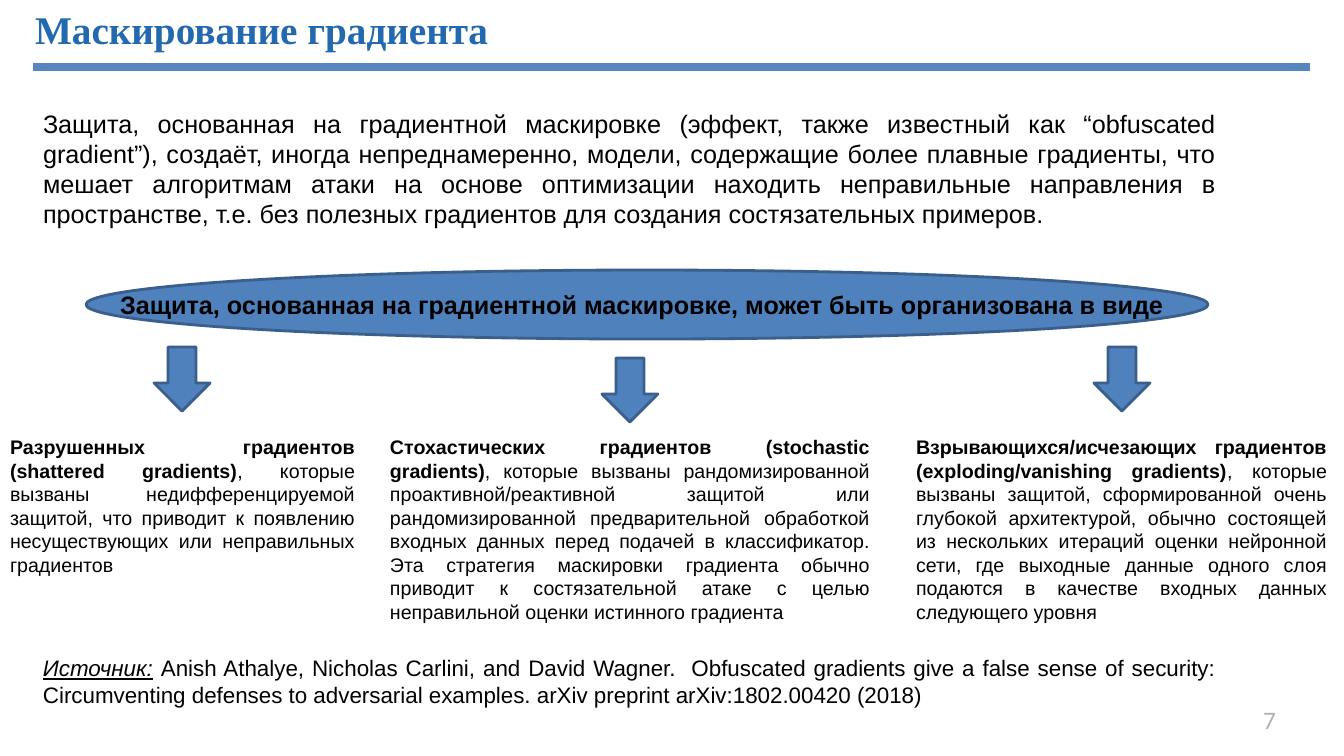
from pptx import Presentation
from pptx.dml.color import RGBColor
from pptx.enum import shapes, text
from pptx.oxml.ns import qn
from pptx.util import Emu, Pt
from lxml import etree

BLACK = RGBColor(0x00, 0x00, 0x00)
WHITE = RGBColor(0xFF, 0xFF, 0xFF)
BLUE = RGBColor(0x4F, 0x81, 0xBD)
OUTLINE = RGBColor(0x3A, 0x5F, 0x8C)
RULE = RGBColor(0x58, 0x87, 0xC0)
TITLE = RGBColor(0x23, 0x69, 0xB0)
GREY = RGBColor(0xB2, 0xB2, 0xB2)

LEFT, CENTER, RIGHT, JUSTIFY = (text.PP_ALIGN.LEFT, text.PP_ALIGN.CENTER,
                                text.PP_ALIGN.RIGHT, text.PP_ALIGN.JUSTIFY)
PADDING = 10, 5
BOLD = {"bold": True}
CITED = {"italic": True, "underline": True}

heading = [("Маскирование градиента", BOLD)]
intro = [("Защита, основанная на градиентной маскировке (эффект, также известный как "
          "“obfuscated gradient”), создаёт, иногда непреднамеренно, модели, содержащие "
          "более плавные градиенты, что мешает алгоритмам атаки на основе оптимизации "
          "находить неправильные направления в пространстве, т.е. без полезных градиентов "
          "для создания состязательных примеров.", {})]
summary = [("Защита, основанная на градиентной маскировке, может быть организована в виде", BOLD)]
source = [("Источник:", CITED),
          (" Anish Athalye, Nicholas Carlini, and David Wagner.  Obfuscated gradients give a "
           "false sense of security: Circumventing defenses to adversarial examples. arXiv "
           "preprint arXiv:1802.00420 (2018)", {})]
page = [("7", {})]

# left, width, arrow left, arrow top, term, explanation
kinds = [
    (0, 365, 154, 347, "Разрушенных градиентов (shattered gradients)",
     ", которые вызваны недифференцируемой защитой, что приводит к появлению "
     "несуществующих или неправильных градиентов"),
    (380, 500, 602, 358, "Стохастических градиентов (stochastic gradients)",
     ", которые вызваны рандомизированной проактивной/реактивной защитой или "
     "рандомизированной предварительной обработкой входных данных перед подачей в "
     "классификатор. Эта стратегия маскировки градиента обычно приводит к состязательной "
     "атаке с целью неправильной оценки истинного градиента"),
    (906, 431, 1094, 347, "Взрывающихся/исчезающих градиентов (exploding/vanishing gradients)",
     ", которые вызваны защитой, сформированной очень глубокой архитектурой, обычно "
     "состоящей из нескольких итераций оценки нейронной сети, где выходные данные одного "
     "слоя подаются в качестве входных данных следующего уровня"),
]


def px(*lengths):
    """Turn pixel lengths into EMU."""
    return [Emu(round(length * 914400 / 100.8)) for length in lengths]


def write(holder, runs, size, align=JUSTIFY, color=BLACK, face="Arial", padding=PADDING):
    """Fill a text holder with one paragraph of formatted runs."""
    frame = holder.text_frame
    across, down = px(*padding)
    layout = {"word_wrap": True, "auto_size": text.MSO_AUTO_SIZE.NONE,
              "vertical_anchor": text.MSO_ANCHOR.TOP, "margin_left": across,
              "margin_right": across, "margin_top": down, "margin_bottom": down}
    for name, value in layout.items():
        setattr(frame, name, value)
    paragraph = frame.paragraphs[0]
    paragraph.alignment, paragraph.space_before = align, Pt(0)
    for words, style in runs:
        run = paragraph.add_run()
        run.text = words
        run.font.color.rgb = color
        for name, value in {"size": Pt(size), "name": face, **style}.items():
            setattr(run.font, name, value)
    return paragraph


def place(holder, *box):
    """Move a placeholder to a pixel box."""
    for name, value in zip(("left", "top", "width", "height"), px(*box)):
        setattr(holder, name, value)
    return holder


def draw(slide, preset, *box):
    """Add a blue outlined shape."""
    shape = slide.shapes.add_shape(preset, *px(*box))
    shape.shadow.inherit = False
    shape.fill.solid()
    shape.fill.fore_color.rgb = BLUE
    shape.line.color.rgb = OUTLINE
    shape.line.width = Pt(2)


def main():
    """Build the gradient masking slide."""
    deck = Presentation()
    deck.slide_width, deck.slide_height = px(1344, 756)
    slide = deck.slides.add_slide(deck.slide_layouts[1])
    slide.background.fill.solid()
    slide.background.fill.fore_color.rgb = WHITE
    title, body = slide.placeholders

    draw(slide, shapes.MSO_SHAPE.OVAL, 86, 270, 1122, 69)
    write(place(title, 35, 5, 597, 47), heading, 28, LEFT, TITLE, "Times New Roman", (0, 0))
    rule = slide.shapes.add_connector(shapes.MSO_CONNECTOR.STRAIGHT, *px(33, 67, 1310, 67))
    rule.line.color.rgb = RULE
    rule.line.width = Pt(6)
    etree.SubElement(rule.element.spPr, qn("a:effectLst"))

    opening = write(place(body, 33, 103, 1193, 193), intro, 18)
    bullet = opening._p.get_or_add_pPr()
    bullet.set("marL", "0")
    bullet.set("indent", "0")
    etree.SubElement(bullet, qn("a:buNone"))

    def add_text(box, *content, **style):
        write(slide.shapes.add_textbox(*px(*box)), *content, **style)

    add_text((93, 284, 1098, 40), summary, 18, CENTER)
    for left, width, arrow_left, arrow_top, term, explanation in kinds:
        add_text((left, 430, width, 200), [(term, BOLD), (explanation, {})], 14)
        draw(slide, shapes.MSO_SHAPE.DOWN_ARROW, arrow_left, arrow_top, 56, 64)
    add_text((33, 649, 1193, 65), source, 16)
    add_text((968, 704, 308, 37), page, 18, RIGHT, GREY, face="Calibri", padding=(0, 0))
    deck.save("out.pptx")


if __name__ == "__main__":
    main()
